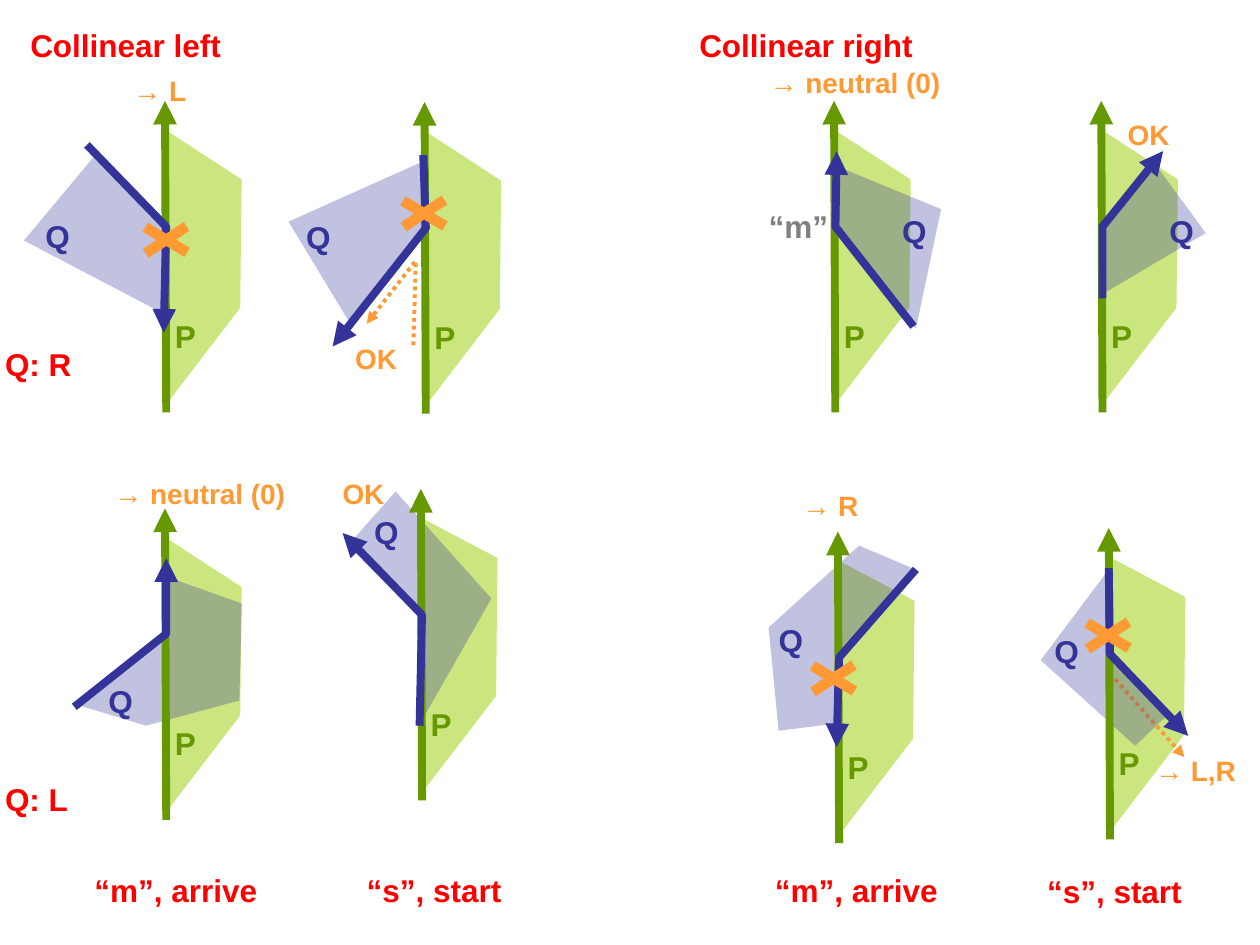
from lxml import etree
from pptx import Presentation
from pptx.dml.color import RGBColor
from pptx.enum.dml import MSO_LINE
from pptx.enum.shapes import MSO_CONNECTOR, MSO_SHAPE
from pptx.enum.text import MSO_AUTO_SIZE
from pptx.oxml.ns import qn
from pptx.util import Pt

STRAIGHT = MSO_CONNECTOR.STRAIGHT
RECT = MSO_SHAPE.RECTANGLE
DOTTED = MSO_LINE.ROUND_DOT
FIXED = MSO_AUTO_SIZE.NONE

THEME = {
    "font": "Arial", "heading": 18, "note": 16, "thick": 4.5, "thin": 2.25,
    "red": "FF0000", "orange": "FF9933", "gray": "808080",
    "p": "669900", "p_face": "99CC00", "q": "333399",
}

# Drawing orders, from back to front
Q_BEHIND = ("q_face", "p_face", "axis", "labels", "q_path", "cross")
Q_BETWEEN = ("p_face", "q_face", "axis", "labels", "q_path", "cross")
Q_OVER_LABELS = ("p_face", "labels", "q_face", "axis", "q_path", "cross")
Q_FRONT = ("p_face", "axis", "labels", "q_path", "q_face")

# P plane relative to the axis tip; its upper corner height varies by panel
AXIS_LENGTH = 178
HIGH, LOW = 45, 39.5
P_LABEL = (5.6, 123.5)
TEXT_SLACK = 5  # spare width that keeps each label on one line

PANELS = [
    # Top row, Q: R
    {"tip": (94.3, 57.6), "corner": HIGH, "order": Q_BEHIND, "q_label": (25.9, 123.8),
     "q_face": [(93.6, 179.3), (13.7, 137.5), (53.3, 90), (92.9, 128.2)],
     "q_path": [(49.7, 82.8), (95, 129.6), (93.6, 190.1)], "cross": (95, 137.1)},
    {"tip": (242.6, 58.3), "corner": HIGH, "order": Q_BEHIND, "q_label": (175, 124.6),
     "q_face": [(199.4, 183.6), (164.9, 126.7), (241.9, 92.2), (241.2, 129.6)],
     "q_path": [(241.9, 88.6), (243.4, 130.3), (190.1, 198)], "cross": (242.3, 122),
     "dotted": [(236.2, 197.3), (237.6, 149), (209.5, 185)]},
    {"tip": (476.6, 57.6), "corner": HIGH, "order": Q_FRONT, "q_label": (515.5, 121),
     "q_face": [(523.4, 187.9), (537.8, 119.5), (478.1, 95), (475.2, 128.2)],
     "q_path": [(522, 186.5), (477.4, 129.6), (478.1, 86.4)]},
    {"tip": (629.3, 57.6), "corner": HIGH, "order": Q_FRONT, "q_label": (668.2, 121),
     "q_face": [(629.3, 168.5), (689, 133.2), (659.5, 92.9), (627.8, 128.2)],
     "q_path": [(630, 170.6), (630, 129.6), (664.6, 86.4)]},
    # Bottom row, Q: L
    {"tip": (94.3, 290.5), "corner": HIGH, "order": Q_BETWEEN, "q_label": (61.9, 389.5),
     "q_face": [(83.5, 414.7), (136.8, 400.3), (138.2, 344.9), (93.6, 329),
                (92.9, 361.4), (43.2, 402.5)],
     "q_path": [(42.5, 403.9), (95, 362.2), (95, 319)]},
    {"tip": (240.5, 279.4), "corner": LOW, "order": Q_OVER_LABELS, "q_label": (213.8, 293),
     "q_face": [(239.8, 414), (280.8, 342), (226.1, 280.8), (198.7, 311.8), (238.3, 350.6)],
     "q_path": [(239.8, 414.7), (241.2, 351.4), (195.8, 304.6)]},
    {"tip": (478.8, 303.8), "corner": LOW, "order": Q_BETWEEN, "q_label": (445, 355),
     "q_face": [(445, 417.6), (439.2, 358.6), (491, 311.8), (521.3, 324.7),
                (476.6, 375.1), (479.5, 413.3)],
     "q_path": [(523.4, 325.4), (479.5, 375.8), (478.1, 427)], "cross": (476.3, 387.7)},
    {"tip": (633.6, 301.7), "corner": LOW, "order": Q_OVER_LABELS, "q_label": (602.6, 361.4),
     "q_face": [(648.7, 426.2), (594.7, 377.3), (633.6, 325.4), (632.2, 373), (666, 409.7)],
     "q_path": [(633.6, 324.7), (634.3, 373.7), (679, 420.5)], "cross": (633.2, 363.2),
     "dotted": [(637.2, 388.1), (676.8, 432.7)]},
]

# Text, left, top, width
HEADINGS = [
    ("Collinear left", 17.3, 15.1, 108.7), ("Collinear right", 399.6, 15.1, 122.4),
    ("Q: R", 2.9, 197.3, 38.2), ("Q: L", 2.9, 445.7, 36),
    ("“m”, arrive", 54, 497.5, 92.9), ("“s”, start", 209.5, 497.5, 77),
    ("“m”, arrive", 442.8, 497.5, 92.9), ("“s”, start", 598.3, 498.2, 77),
]
NOTES = [
    ("→ L", 76.3, 41.8, 30.2), ("OK", 203, 195.1, 23.8),
    ("→ neutral (0)", 439.9, 37.4, 97.9), ("OK", 644.4, 67, 23.8),
    ("→ neutral (0)", 65.5, 272.2, 97.9), ("OK", 195.8, 272.2, 23.8),
    ("→ R", 458.6, 279.4, 31.7), ("→ L,R", 660.2, 430.6, 46.1),
]


def rgb(name):
    return RGBColor.from_string(THEME[name])


def add_text(s, text, x, y, w, *, size="heading", color="red"):
    pt = THEME[size]
    sp = s.shapes.add_textbox(Pt(x), Pt(y), Pt(w + TEXT_SLACK), Pt(pt * 1.2))
    tf = sp.text_frame
    tf.margin_left = tf.margin_right = tf.margin_top = tf.margin_bottom = 0
    tf.word_wrap = True
    tf.auto_size = FIXED
    r = tf.paragraphs[0].add_run()
    r.text = text
    r.font.name, r.font.size, r.font.bold = THEME["font"], Pt(pt), True
    r.font.color.rgb = rgb(color)


def outline(s, points, close):
    pts = [(Pt(x), Pt(y)) for x, y in points]
    builder = s.shapes.build_freeform(*pts[0])
    builder.add_line_segments(pts[1:], close=close)
    sp = builder.convert_to_shape()
    sp.shadow.inherit = False
    return sp


def add_face(s, points, color, opacity):
    sp = outline(s, points, True)
    sp.line.fill.background()
    sp.fill.solid()
    sp.fill.fore_color.rgb = rgb(color)
    clr = sp.fill._xPr.find(qn("a:solidFill"))[0]
    etree.SubElement(clr, qn("a:alpha")).set("val", str(opacity * 1000))


def add_arrow(s, points, color, width="thick", dash=None):
    if len(points) == 2:
        (x1, y1), (x2, y2) = points
        sp = s.shapes.add_connector(STRAIGHT, Pt(x1), Pt(y1), Pt(x2), Pt(y2))
        etree.SubElement(sp._element.spPr, qn("a:effectLst"))
    else:
        sp = outline(s, points, False)
        sp.fill.background()
    sp.line.color.rgb = rgb(color)
    sp.line.width = Pt(THEME[width])
    if dash:
        sp.line.dash_style = dash
    etree.SubElement(sp.line._get_or_add_ln(), qn("a:tailEnd")).set("type", "triangle")


def add_cross(s, cx, cy, w=28, h=6):
    group = s.shapes.add_group_shape()
    for angle in (31, 326.6):
        sp = group.shapes.add_shape(RECT, Pt(cx - w / 2), Pt(cy - h / 2), Pt(w), Pt(h))
        sp.rotation = angle
        sp.shadow.inherit = False
        sp.fill.solid()
        sp.fill.fore_color.rgb = rgb("orange")
        sp.line.fill.background()


def add_panel(s, panel):
    x, y = panel["tip"]
    for part in panel["order"]:
        if part == "p_face":
            corners = [(0, 174.5), (-0.7, 16), (43.8, panel["corner"]), (43, 118.3)]
            add_face(s, [(x + dx, y + dy) for dx, dy in corners], "p_face", 50)
        elif part == "q_face":
            add_face(s, panel["q_face"], "q", 30)
        elif part == "axis":
            add_arrow(s, [(x + 0.7, y + AXIS_LENGTH), (x, y)], "p")
        elif part == "q_path":
            add_arrow(s, panel["q_path"], "q")
        elif part == "labels":
            add_text(s, "P", x + P_LABEL[0], y + P_LABEL[1], 12.2, color="p")
            add_text(s, "Q", *panel["q_label"], 14.4, color="q")
            if "dotted" in panel:
                add_arrow(s, panel["dotted"], "orange", "thin", DOTTED)
        elif part in panel:
            add_cross(s, *panel["cross"])


def main():
    prs = Presentation()
    prs.slide_width, prs.slide_height = Pt(720), Pt(540)
    s = prs.slides.add_slide(prs.slide_layouts[6])
    # Eight direction diagrams
    for panel in PANELS:
        add_panel(s, panel)
    # Headings and result notes
    for heading in HEADINGS:
        add_text(s, *heading)
    for note in NOTES:
        add_text(s, *note, size="note", color="orange")
    add_text(s, "“m”", 439.2, 118.1, 33.8, color="gray")
    prs.save("out.pptx")


if __name__ == "__main__":
    main()
